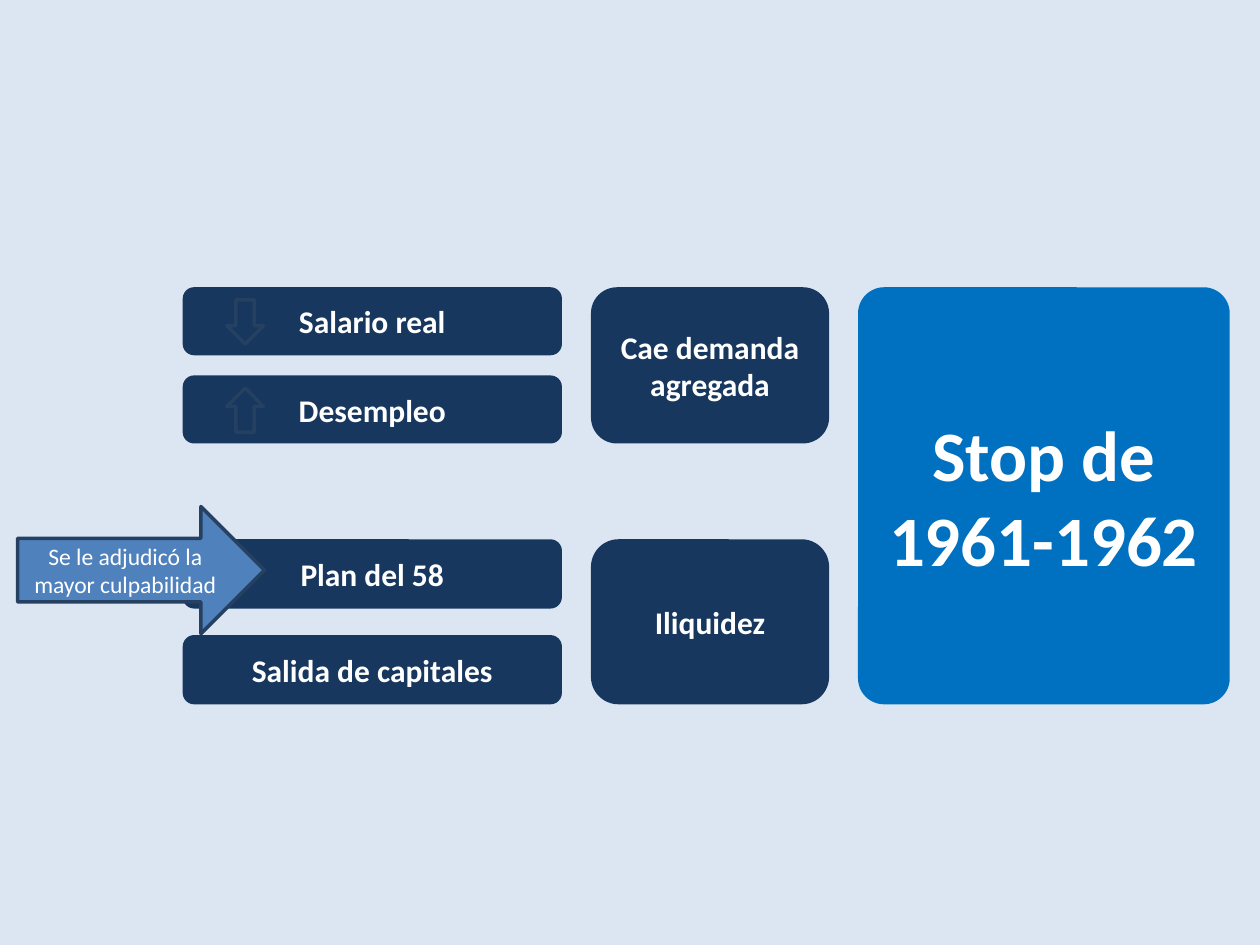
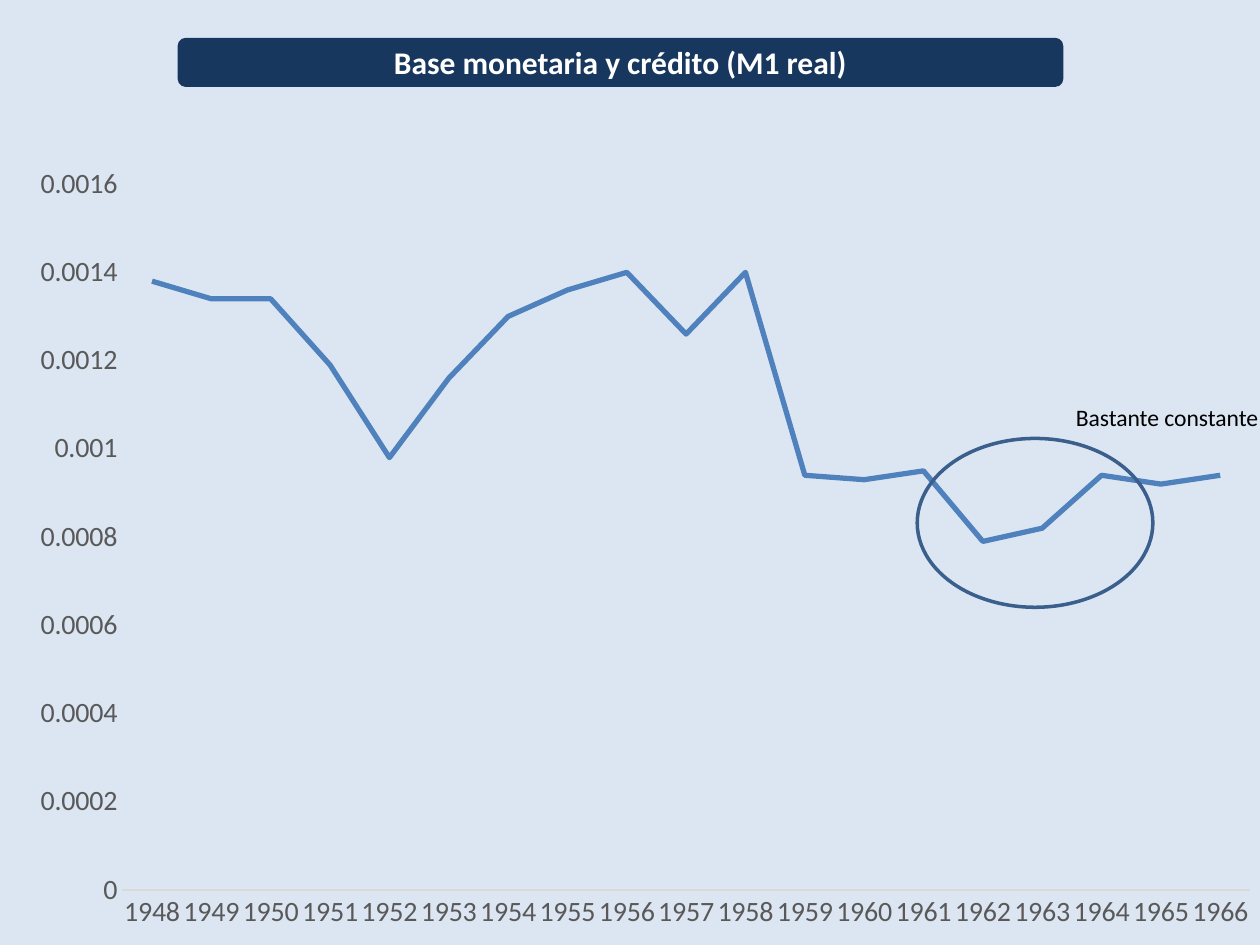
from lxml import etree
from pptx import Presentation
from pptx.chart.data import CategoryChartData
from pptx.dml.color import RGBColor
from pptx.enum.chart import XL_CHART_TYPE, XL_TICK_MARK
from pptx.enum.shapes import MSO_SHAPE
from pptx.enum.text import MSO_ANCHOR, PP_ALIGN
from pptx.oxml.ns import qn
from pptx.util import Inches, Pt

# Shared style
FONT = "Calibri"
COLORS = {
    "background": "DCE6F2", "navy": "17375E", "blue": "0070C0",
    "steel": "4F81BD", "arrow_line": "254061", "ellipse_line": "3A5F8C",
    "white": "FFFFFF", "black": "000000", "axis_text": "595959",
    "axis_line": "D9D9D9",
}

# Content of the cause diagram: (effect, top, bottom, causes)
GROUPS = [
    ("Cae demanda agregada", 2.28, 3.52, 0.54, ["Salario real", "Desempleo"]),
    ("Iliquidez", 4.28, 5.59, 0.55, ["Plan del 58", "Salida de capitales"]),
]
OUTCOME = "Stop de 1961-1962"
BLAME = "Se le adjudicó la mayor culpabilidad"
CAUSE_LEFT, CAUSE_WIDTH = 1.45, 3.01
EFFECT_LEFT, EFFECT_WIDTH = 4.69, 1.89
OUTCOME_LEFT, OUTCOME_WIDTH = 6.81, 2.95
TREND_ROTATIONS = [0, 180]  # wages fall, unemployment rises

# Content of the money chart
CHART_TITLE = "Base monetaria y crédito (M1 real)"
CHART_NOTE = "Bastante constante"
FIRST_YEAR = 1948
REAL_M1 = [
    0.00138, 0.00134, 0.00134, 0.00119, 0.00098, 0.00116, 0.0013,
    0.00136, 0.0014, 0.00126, 0.0014, 0.00094, 0.00093, 0.00095,
    0.00079, 0.00082, 0.00094, 0.00092, 0.00094,
]
PLOT_AREA = {"x": 0.088, "y": 0.058, "w": 0.904, "h": 0.874}


def color(name):
    return RGBColor.from_string(COLORS[name])


def set_font(font, size, color_name, bold=False):
    font.name, font.size, font.bold = FONT, Pt(size), bold
    font.color.rgb = color(color_name)


def add_slide(presentation):
    slide = presentation.slides.add_slide(presentation.slide_layouts[6])
    slide.background.fill.solid()
    slide.background.fill.fore_color.rgb = color("background")
    return slide


def add_figure(slide, kind, box, fill=None, line=None, text="", size=18, bold=True):
    shape = slide.shapes.add_shape(kind, *map(Inches, box))
    shape.shadow.inherit = False
    if fill:
        shape.fill.solid()
        shape.fill.fore_color.rgb = color(fill)
    else:
        shape.fill.background()
    if line:
        shape.line.color.rgb = color(line)
        shape.line.width = Pt(2)
    else:
        shape.line.fill.background()
    if text:
        frame = shape.text_frame
        frame.word_wrap = True
        frame.vertical_anchor = MSO_ANCHOR.MIDDLE
        paragraph = frame.paragraphs[0]
        paragraph.text = text
        paragraph.alignment = PP_ALIGN.CENTER
        set_font(paragraph.font, size, "white", bold)
    return shape


def add_box(slide, box, text, fill="navy", size=18):
    return add_figure(slide, MSO_SHAPE.ROUNDED_RECTANGLE, box, fill, text=text, size=size)


def build_cause_slide(presentation):
    slide = add_slide(presentation)

    # Outcome spans both groups
    top, bottom = GROUPS[0][1], GROUPS[-1][2]
    outcome = add_box(slide, (OUTCOME_LEFT, top, OUTCOME_WIDTH, bottom - top),
                      OUTCOME, "blue", 40.5)
    outcome.adjustments[0] = 0.07

    # Each effect stands beside its causes, spread from top to bottom
    for effect, top, bottom, height, causes in GROUPS:
        add_box(slide, (EFFECT_LEFT, top, EFFECT_WIDTH, bottom - top), effect)
        step = (bottom - top - height) / (len(causes) - 1)
        for index, cause in enumerate(causes):
            add_box(slide, (CAUSE_LEFT, top + index * step, CAUSE_WIDTH, height), cause)

    # Trend arrows on the first group
    _, top, bottom, height, _ = GROUPS[0]
    for index, rotation in enumerate(TREND_ROTATIONS):
        arrow_top = top + 0.1 + index * (bottom - top - height)
        arrow = add_figure(slide, MSO_SHAPE.DOWN_ARROW, (1.8, arrow_top, 0.29, 0.35),
                           "navy", "arrow_line")
        arrow.rotation = rotation

    add_figure(slide, MSO_SHAPE.RIGHT_ARROW, (0.14, 4.02, 1.96, 1.01),
               "steel", "arrow_line", BLAME, 13.5, bold=False)


def set_plot_area(chart):
    plot_area = chart._chartSpace.chart.plotArea
    for old_layout in plot_area.findall(qn("c:layout")):
        plot_area.remove(old_layout)
    layout = etree.Element(qn("c:layout"))
    manual = etree.SubElement(layout, qn("c:manualLayout"))
    settings = {"layoutTarget": "inner", "xMode": "edge", "yMode": "edge", **PLOT_AREA}
    for tag, value in settings.items():
        etree.SubElement(manual, qn(f"c:{tag}")).set("val", str(value))
    plot_area.insert(0, layout)


def add_money_chart(slide):
    data = CategoryChartData()
    data.categories = [str(FIRST_YEAR + index) for index in range(len(REAL_M1))]
    data.add_series("Series 1", REAL_M1)
    chart = slide.shapes.add_chart(
        XL_CHART_TYPE.LINE, *map(Inches, (0.1, 1.09, 9.9, 6.41)), data).chart
    chart.has_legend = chart.has_title = False
    set_font(chart.font, 16, "black")
    chart.plots[0].vary_by_categories = False

    for axis in (chart.category_axis, chart.value_axis):
        axis.has_major_gridlines = False
        axis.major_tick_mark = axis.minor_tick_mark = XL_TICK_MARK.NONE
        set_font(axis.tick_labels.font, 16, "axis_text")
    chart.category_axis.format.line.color.rgb = color("axis_line")
    chart.category_axis.format.line.width = Pt(0.75)
    values = chart.value_axis
    values.format.line.fill.background()
    values.minimum_scale, values.maximum_scale = 0, 0.0016
    values.major_unit = 0.0002

    series = chart.plots[0].series[0]
    series.smooth = False
    series.format.line.color.rgb = color("steel")
    series.format.line.width = Pt(3)
    set_plot_area(chart)


def build_money_slide(presentation):
    slide = add_slide(presentation)
    add_box(slide, (1.41, 0.3, 7.03, 0.39), CHART_TITLE)
    add_money_chart(slide)

    # Ellipse and note on the steady years
    add_figure(slide, MSO_SHAPE.OVAL, (7.28, 3.48, 1.87, 1.34), line="ellipse_line")
    note = slide.shapes.add_textbox(*map(Inches, (8.44, 3.15, 1.56, 0.33)))
    note.text_frame.word_wrap = False
    note.text_frame.margin_right = 0
    paragraph = note.text_frame.paragraphs[0]
    paragraph.text = CHART_NOTE
    set_font(paragraph.font, 13.5, "black")


def main():
    presentation = Presentation()
    presentation.slide_width, presentation.slide_height = Inches(10), Inches(7.5)
    build_cause_slide(presentation)
    build_money_slide(presentation)
    presentation.save("out.pptx")


if __name__ == "__main__":
    main()
